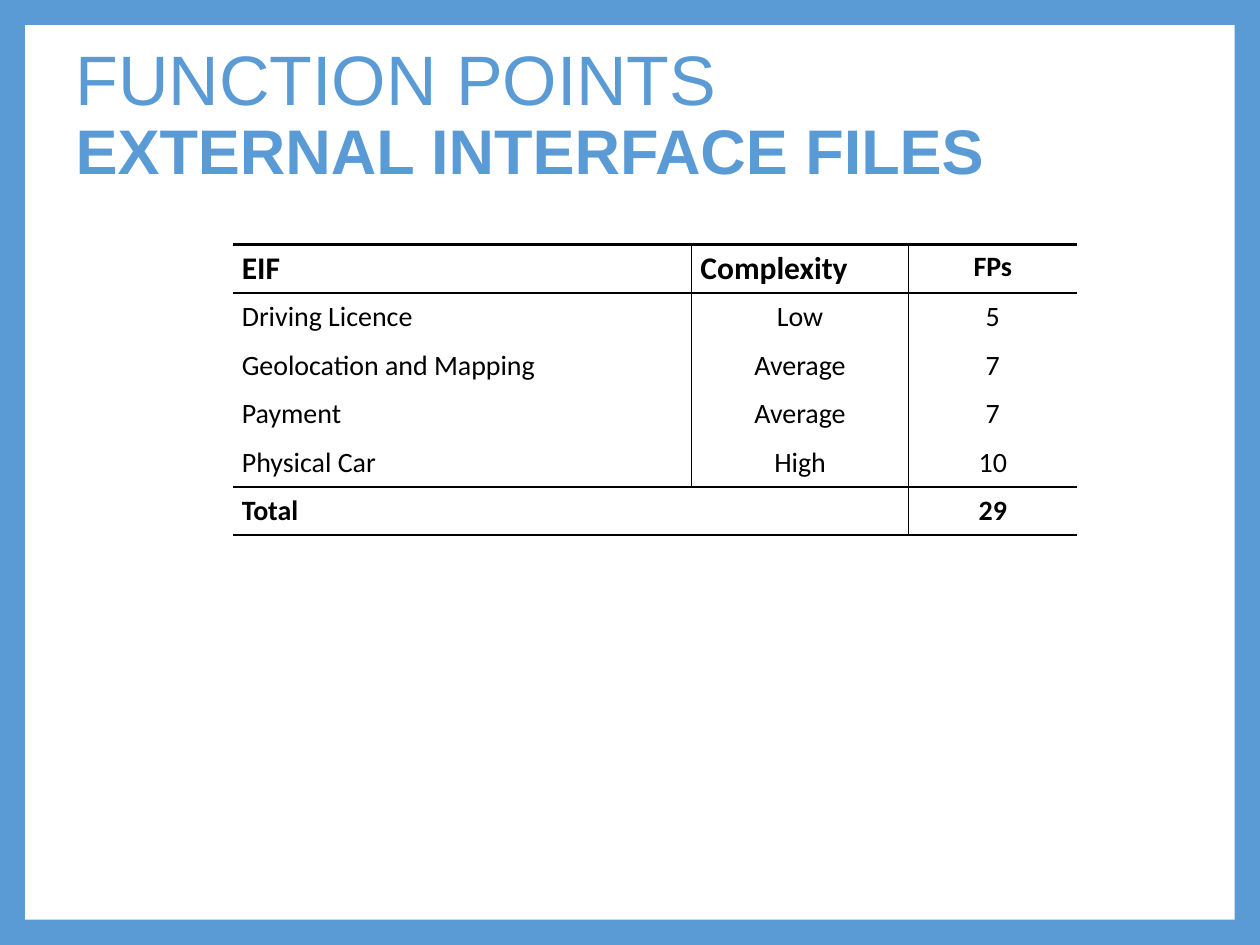
from dataclasses import dataclass

from lxml import etree
from pptx import Presentation
from pptx.dml.color import RGBColor
from pptx.enum.shapes import MSO_SHAPE
from pptx.enum.text import MSO_ANCHOR, MSO_AUTO_SIZE, PP_ALIGN
from pptx.oxml.ns import qn
from pptx.util import Inches, Pt

RECTANGLE = MSO_SHAPE.RECTANGLE
TOP, MIDDLE = MSO_ANCHOR.TOP, MSO_ANCHOR.MIDDLE
LEFT, CENTER = PP_ALIGN.LEFT, PP_ALIGN.CENTER
NO_AUTOFIT = MSO_AUTO_SIZE.NONE
NO_STYLE_NO_GRID = "{2D5ABB26-0587-4C30-8999-92F81FD0307C}"


@dataclass(frozen=True)
class Theme:
    accent: str = "5B9BD5"
    paper: str = "FFFFFF"
    ink: str = "000000"
    title_font: str = "Arial"
    table_font: str = "Calibri"
    title_size: int = 40
    subtitle_size: int = 36
    header_size: int = 18
    body_size: int = 16
    thin_rule: float = 1
    thick_rule: float = 1.5


theme = Theme()


def add_run(paragraph, text, font_name, size, color, bold):
    run = paragraph.add_run()
    run.text = text
    run.font.name = font_name
    run.font.size = Pt(size)
    run.font.bold = bold
    run.font.color.rgb = RGBColor.from_string(color)


def set_borders(cell, widths):
    """Draw the cell's edges; widths maps L, R, T, B to points, 0 for no line."""
    properties = cell._tc.get_or_add_tcPr()
    for position, side in enumerate("LRTB"):
        width = widths[side]
        line = etree.Element(qn(f"a:ln{side}"), w=str(Pt(width)))
        if width:
            fill = etree.SubElement(line, qn("a:solidFill"))
            etree.SubElement(fill, qn("a:srgbClr"), val=theme.ink)
        else:
            etree.SubElement(line, qn("a:noFill"))
        properties.insert(position, line)


presentation = Presentation()
presentation.slide_width = Inches(10)
presentation.slide_height = Inches(7.5)
slide = presentation.slides.add_slide(presentation.slide_layouts[5])
slide.background.fill.solid()
slide.background.fill.fore_color.rgb = RGBColor.from_string(theme.accent)

# White panel, placed behind the title
panel = slide.shapes.add_shape(
    RECTANGLE, Inches(0.2), Inches(0.2), Inches(9.6), Inches(7.1)
)
panel.shadow.inherit = False
panel.fill.solid()
panel.fill.fore_color.rgb = RGBColor.from_string(theme.paper)
panel.line.fill.background()
slide.shapes._spTree.insert(2, panel._element)

# Title
title = slide.shapes.title
title.left, title.top = Inches(0.5), Inches(0.3)
title.width, title.height = Inches(9), Inches(1.25)
title.text_frame.word_wrap = True
title.text_frame.auto_size = NO_AUTOFIT
title.text_frame.vertical_anchor = MIDDLE
paragraph = title.text_frame.paragraphs[0]
paragraph.alignment = LEFT
paragraph.line_spacing = 0.9
add_run(paragraph, "FUNCTION POINTS", theme.title_font, theme.title_size,
        theme.accent, False)
paragraph.add_line_break()
add_run(paragraph, "EXTERNAL INTERFACE FILES", theme.title_font,
        theme.subtitle_size, theme.accent, True)

# Table of external interface files
rows = [
    ("EIF", "Complexity", "FPs"),
    ("Driving Licence", "Low", "5"),
    ("Geolocation and Mapping", "Average", "7"),
    ("Payment", "Average", "7"),
    ("Physical Car", "High", "10"),
    ("Total", "", "29"),
]
column_widths = [3.64, 1.72, 1.34]
row_height = Inches(2.31 / len(rows))
last_row, last_column = len(rows) - 1, len(column_widths) - 1

frame = slide.shapes.add_table(
    len(rows), len(column_widths), Inches(1.85), Inches(1.94),
    Inches(sum(column_widths)), row_height * len(rows),
)
table = frame.table
table.first_row = False
table.horz_banding = False
table._tbl.tblPr.find(qn("a:tableStyleId")).text = NO_STYLE_NO_GRID
for column, width in zip(table.columns, column_widths):
    column.width = Inches(width)
for row in table.rows:
    row.height = row_height
table.cell(last_row, 0).merge(table.cell(last_row, 1))

# Rule above each row, then the one below the table
rules = [0] * (len(rows) + 1)
rules[0] = rules[1] = rules[-1] = theme.thick_rule
rules[last_row] = theme.thin_rule

for row_index, texts in enumerate(rows):
    is_header, is_total = row_index == 0, row_index == last_row
    for column_index, text in enumerate(texts):
        cell = table.cell(row_index, column_index)
        cell.margin_left = cell.margin_right = Inches(0.07)
        cell.margin_top = cell.margin_bottom = Inches(0.04)
        cell.vertical_anchor = TOP if is_header and column_index else MIDDLE
        cell.fill.background()
        inside_total = is_total and column_index < last_column
        set_borders(cell, {
            "L": theme.thin_rule if column_index and not cell.is_spanned else 0,
            "R": theme.thin_rule
            if column_index < last_column and not (inside_total and cell.is_spanned)
            else 0,
            "T": rules[row_index],
            "B": rules[row_index + 1],
        })
        if cell.is_spanned:
            continue
        paragraph = cell.text_frame.paragraphs[0]
        left_aligned = column_index == 0 or (is_header and column_index < last_column)
        paragraph.alignment = LEFT if left_aligned else CENTER
        large = is_header and column_index < last_column
        add_run(paragraph, text, theme.table_font,
                theme.header_size if large else theme.body_size,
                theme.ink, is_header or is_total)

presentation.save("out.pptx")
